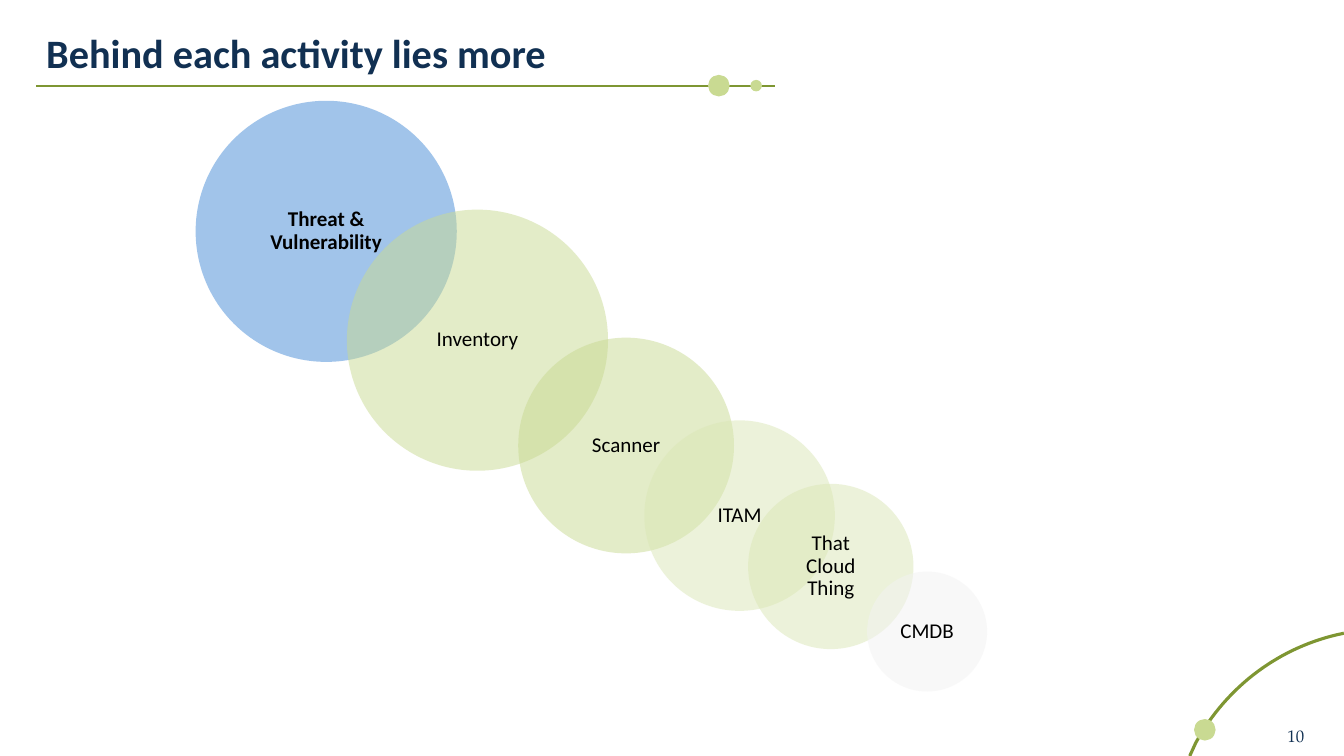
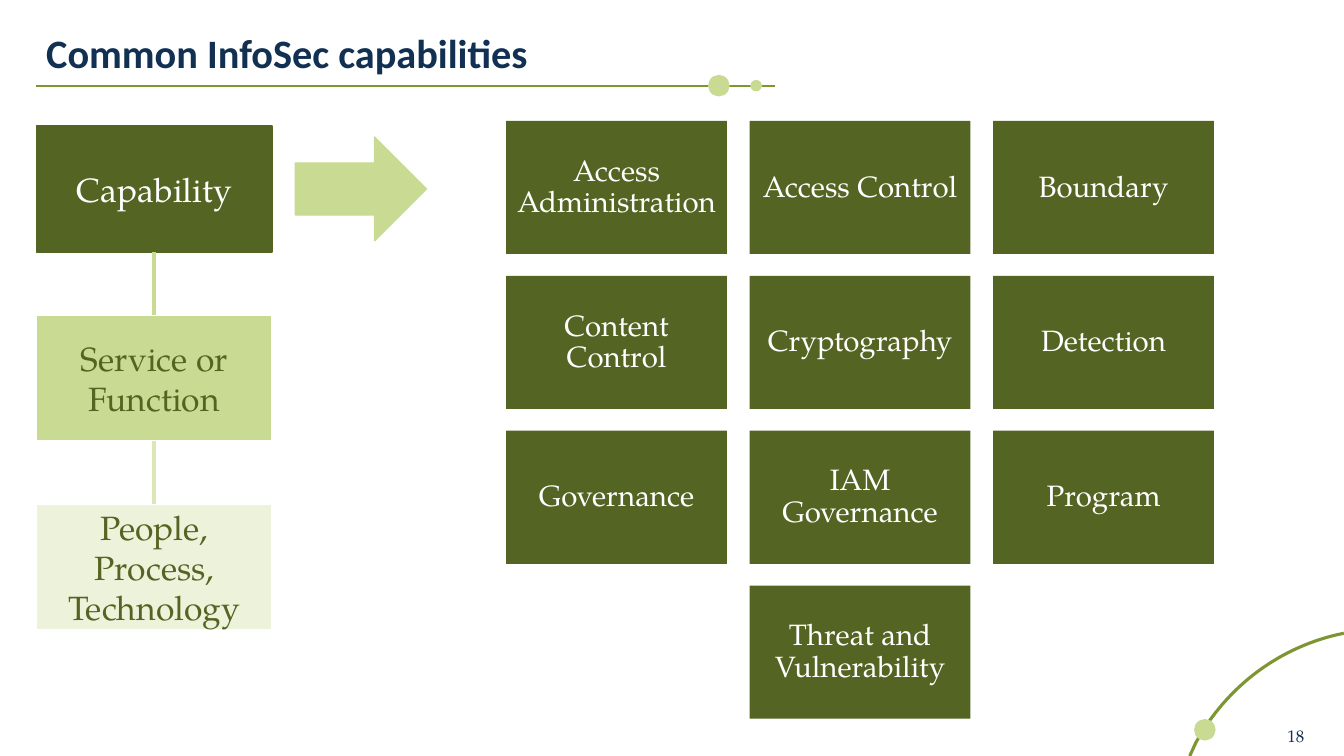
from dataclasses import dataclass

from lxml.etree import SubElement
from pptx import Presentation
from pptx.dml.color import RGBColor as RGB
from pptx.enum.shapes import MSO_CONNECTOR as Conn, MSO_SHAPE as Shp
from pptx.enum.text import MSO_ANCHOR as Anchor, PP_ALIGN as Align
from pptx.oxml.ns import qn
from pptx.util import Emu, Pt

SCALE = 9144
SLIDE_W, SLIDE_H = 1333, 750


@dataclass(frozen=True)
class Theme:
    """Colours, fonts and type sizes of the deck."""
    navy: str = "113052"
    olive: str = "7E9632"
    moss: str = "546422"
    lime: str = "C9DA92"
    pale: str = "DBE7B6"
    mist: str = "EDF3DB"
    blue: str = "448AD7"
    grey: str = "F2F2F2"
    white: str = "FFFFFF"
    black: str = "000000"
    sans: str = "Calibri"
    serif: str = "TeX Gyre Pagella"
    title: float = 28.8
    stack: float = 24
    tile: float = 21
    bubble: float = 15
    number: float = 12


T = Theme()


def px(v):
    """Turn px into EMU."""
    return Emu(round(v * SCALE))


def color(value):
    """Make a colour from its hex code."""
    return RGB.from_string(value)


def write(sp, text, size, font, ink, bold=False, align=Align.CENTER,
          spacing=None, insets=(10, 5)):
    """Write one middle-anchored paragraph into a shape."""
    tf = sp.text_frame
    tf.word_wrap = True
    tf.vertical_anchor = Anchor.MIDDLE
    tf.margin_left = tf.margin_right = px(insets[0])
    tf.margin_top = tf.margin_bottom = px(insets[1])
    p = tf.paragraphs[0]
    p.alignment = align
    if spacing:
        p.line_spacing = spacing
    r = p.add_run()
    r.text = text
    r.font.size = Pt(size)
    r.font.name = font
    r.font.bold = bold
    r.font.color.rgb = color(ink)


def add_box(s, kind, box, fill, line=None, alpha=None):
    """Add a flat preset shape, with an optional outline and opacity."""
    sp = s.shapes.add_shape(kind, *map(px, box))
    sp.shadow.inherit = False
    sp.fill.solid()
    sp.fill.fore_color.rgb = color(fill)
    if alpha:
        clr = sp.fill._xPr.find(qn("a:solidFill"))[0]
        SubElement(clr, qn("a:alpha")).set("val", str(alpha * 1000))
    if line:
        sp.line.color.rgb = color(line)
        sp.line.width = Pt(1)
    else:
        sp.line.fill.background()
    return sp


def add_line(s, ends, ink, width):
    """Add a straight connector without a shadow."""
    ln = s.shapes.add_connector(Conn.STRAIGHT, *map(px, ends))
    ln.line.color.rgb = color(ink)
    ln.line.width = Pt(width)
    SubElement(ln._element.spPr, qn("a:effectLst"))
    return ln


def add_dot(s, x, y, size):
    """Add a small lime dot."""
    add_box(s, Shp.OVAL, (x, y, size, size), T.lime, T.lime)


def add_header(s, box, title):
    """Draw the title above its dotted rule."""
    x, y, w, h = box
    add_line(s, (x, y + 55, x + 733, y + 55), T.olive, 1.5)
    add_dot(s, x + 667, y + 45, 20)
    add_dot(s, x + 709, y + 50, 10)
    sp = s.shapes.add_textbox(*map(px, box))
    write(sp, title, T.title, T.sans, T.navy, True, Align.LEFT, 0.9)


def add_corner(s, box, number):
    """Draw the corner arc, its dot and the slide number."""
    x, y, w, h = box
    curve = ((6, 113), (43, 45), (114, 0), (196, 0))
    steps, reach = 32, 0.82
    pts = []
    for i in range(steps + 1):
        t = reach * i / steps
        weights = ((1 - t) ** 3, 3 * t * (1 - t) ** 2, 3 * t * t * (1 - t), t ** 3)
        pts.append(tuple(px(o + sum(k * c[a] for k, c in zip(weights, curve)))
                         for a, o in enumerate((x, y))))
    fb = s.shapes.build_freeform(px(x), px(y + h), scale=1.0)
    fb.add_line_segments(pts, close=False)
    arc = fb.convert_to_shape()
    arc.shadow.inherit = False
    arc.fill.background()
    arc.line.color.rgb = color(T.olive)
    arc.line.width = Pt(2.25)
    add_dot(s, x + 5, y + 90, 20)
    sp = s.shapes.add_textbox(px(x + 87), px(y + 86), px(49), px(40))
    write(sp, number, T.number, T.serif, T.navy, align=Align.LEFT)


def add_base(prs, title, number):
    """Add a blank slide with the shared header and corner."""
    s = prs.slides.add_slide(prs.slide_layouts[6])
    add_header(s, (36, 30, 773, 50), title)
    add_corner(s, (1180, 624, 153, 126), number)
    return s


def add_bubbles(s, box, bubbles):
    """Draw a chain of translucent circles, placed from the box corner."""
    x, y, w, h = box
    for i, (text, dx, dy, size, fill) in enumerate(bubbles):
        sp = add_box(s, Shp.OVAL, (x + dx, y + dy, size, size), fill, alpha=50)
        write(sp, text, T.bubble, T.sans, T.black, i == 0,
              spacing=0.9, insets=(14, 2))


def add_tiles(s, box, rows, tile_w=219, tile_h=132):
    """Spread rows of tiles over the box, centring short rows."""
    x, y, w, h = box
    cols = max(map(len, rows))
    step_x = (w - tile_w) / (cols - 1)
    step_y = (h - tile_h) / (len(rows) - 1)
    for i, row in enumerate(rows):
        left = x + (cols - len(row)) / 2 * step_x
        for j, text in enumerate(row):
            place = (left + j * step_x, y + i * step_y, tile_w, tile_h)
            sp = add_box(s, Shp.RECTANGLE, place, T.moss)
            write(sp, text, T.tile, T.serif, T.white, spacing=0.9, insets=(9, 9))


def add_stack(s, box, levels, links, level_h=125):
    """Draw levels down the box and link each to the next."""
    x, y, w, h = box
    step = (h - level_h) / (len(levels) - 1)
    sps = []
    for i, (text, fill, line, ink) in enumerate(levels):
        sp = add_box(s, Shp.RECTANGLE, (x, y + i * step, w, level_h), fill, line)
        write(sp, text, T.stack, T.serif, ink)
        sps.append(sp)
    for top, bottom, ink in zip(sps, sps[1:], links):
        ln = add_line(s, (x, y, x, y), ink, 3)
        ln.begin_connect(top, 2)
        ln.end_connect(bottom, 0)


def activity_slide(prs):
    """Build the slide on what lies behind an activity."""
    s = add_base(prs, "Behind each activity lies more", "10")
    add_bubbles(s, (194, 100, 785, 586), (
        ("Threat & Vulnerability", 0, 0, 259, T.blue),
        ("Inventory", 150, 108, 259, T.lime),
        ("Scanner", 320, 235, 214, T.lime),
        ("ITAM", 445, 317, 189, T.pale),
        ("That Cloud Thing", 548, 380, 164, T.pale),
        ("CMDB", 666, 467, 119, T.grey),
    ))


def capability_slide(prs):
    """Build the slide on common capabilities."""
    s = add_base(prs, "Common InfoSec capabilities", "18")
    add_tiles(s, (502, 120, 702, 593), (
        ("Access Administration", "Access Control", "Boundary"),
        ("Content Control", "Cryptography", "Detection"),
        ("Governance", "IAM Governance", "Program"),
        ("Threat and Vulnerability",),
    ))
    add_stack(s, (36, 125, 234, 500), (
        ("Capability", T.moss, T.moss, T.white),
        ("Service or Function", T.lime, T.white, T.moss),
        ("People, Process, Technology", T.mist, T.white, T.moss),
    ), (T.lime, T.pale))
    add_box(s, Shp.RIGHT_ARROW, (293, 136, 130, 103), T.lime, T.lime)


def main():
    """Build and save the deck."""
    prs = Presentation()
    prs.slide_width, prs.slide_height = px(SLIDE_W), px(SLIDE_H)
    activity_slide(prs)
    capability_slide(prs)
    prs.save("out.pptx")


if __name__ == "__main__":
    main()
